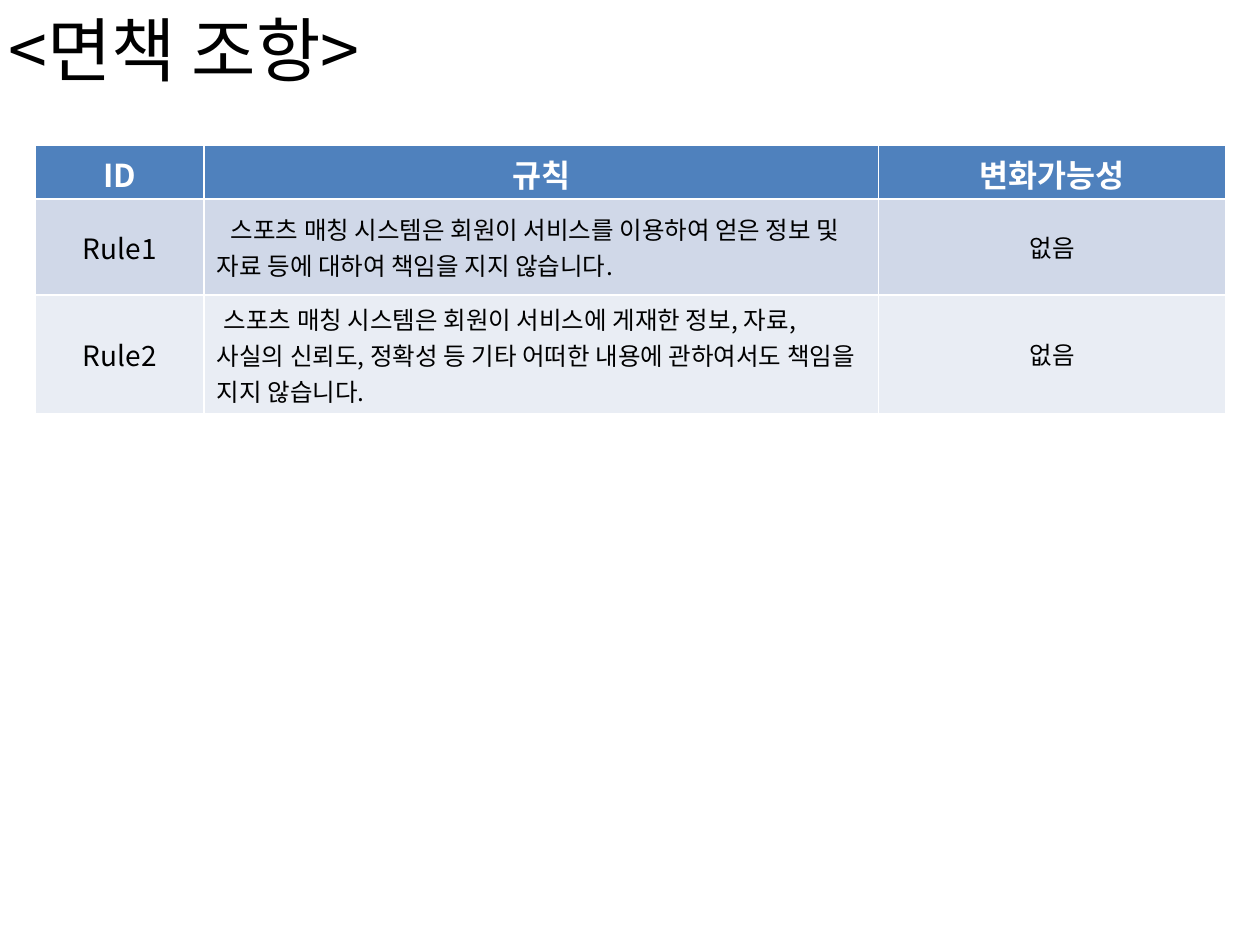
from lxml import etree
from pptx import Presentation
from pptx import util as u
from pptx.dml import color
from pptx.enum import text
from pptx.oxml import ns

FONT = "Noto Sans CJK KR"
COLORS = {
    "black": "000000",
    "white": "FFFFFF",
    "header": "4F81BD",
    "odd_row": "D0D8E8",
    "even_row": "E9EDF4",
}
HEADERS = ["ID", "규칙", "변화가능성"]
RULES = [
    ("Rule1", "스포츠 매칭 시스템은 회원이 서비스를 이용하여 얻은 정보 및 자료 등에 대하여 책임을 지지 않습니다.", "없음"),
    ("Rule2", "스포츠 매칭 시스템은 회원이 서비스에 게재한 정보, 자료, 사실의 신뢰도, 정확성 등 기타 어떠한 내용에 관하여서도 책임을 지지 않습니다.", "없음"),
]
RULE_INDENTS = [8, 4]
COLUMN_WIDTHS = [96.5, 385.2, 198.7]
ROW_HEIGHTS = [31, 54.7, 67.7]
BODY_SIZES = [16, 14, 14]


def rgb(name):
    return color.RGBColor.from_string(COLORS[name])


def format_paragraph(paragraph, size, color_name, alignment, bold=False):
    paragraph.alignment = alignment
    for run in paragraph.runs:
        font = run.font
        font.name = FONT
        font.size = u.Pt(size)
        font.bold = bold
        font.color.rgb = rgb(color_name)
        east_asian = etree.SubElement(run._r.get_or_add_rPr(), ns.qn("a:ea"))
        east_asian.set("typeface", FONT)


def place_title(slide, left, top, width, height):
    title = slide.shapes.title
    title.left, title.top = u.Pt(left), u.Pt(top)
    title.width, title.height = u.Pt(width), u.Pt(height)
    frame = title.text_frame
    frame.text = "<면책 조항>"
    frame.word_wrap = True
    frame.auto_size = text.MSO_AUTO_SIZE.SHAPE_TO_FIT_TEXT
    frame.vertical_anchor = text.MSO_ANCHOR.TOP
    format_paragraph(frame.paragraphs[0], 40, "black", text.PP_ALIGN.LEFT)


def fill_cell(cell, content, fill_name, size, color_name, alignment, bold=False):
    cell.fill.solid()
    cell.fill.fore_color.rgb = rgb(fill_name)
    cell.text_frame.text = content
    format_paragraph(cell.text_frame.paragraphs[0], size, color_name, alignment, bold)


def place_rules_table(slide, left, top, width, height):
    table = slide.shapes.add_table(
        len(ROW_HEIGHTS), len(COLUMN_WIDTHS),
        u.Pt(left), u.Pt(top), u.Pt(width), u.Pt(height),
    ).table
    for column, share in zip(table.columns, COLUMN_WIDTHS):
        column.width = u.Pt(width * share / sum(COLUMN_WIDTHS))
    for row, share in zip(table.rows, ROW_HEIGHTS):
        row.height = u.Pt(height * share / sum(ROW_HEIGHTS))

    center, start = text.PP_ALIGN.CENTER, text.PP_ALIGN.LEFT
    for column, header in enumerate(HEADERS):
        fill_cell(table.cell(0, column), header, "header", 18, "white", center, True)
    for row, rule in enumerate(RULES, start=1):
        fill_name = "odd_row" if row % 2 else "even_row"
        for column, content in enumerate(rule):
            cell = table.cell(row, column)
            alignment = start if column == 1 else center
            fill_cell(cell, content, fill_name, BODY_SIZES[column], "black", alignment)
            cell.vertical_anchor = text.MSO_ANCHOR.MIDDLE
        properties = table.cell(row, 1).text_frame.paragraphs[0]._p.get_or_add_pPr()
        properties.set("indent", str(u.Pt(RULE_INDENTS[row - 1])))


def main():
    presentation = Presentation()
    presentation.slide_width, presentation.slide_height = u.Pt(720), u.Pt(540)
    slide = presentation.slides.add_slide(presentation.slide_layouts[5])
    place_rules_table(slide, 20.2, 82.8, sum(COLUMN_WIDTHS), sum(ROW_HEIGHTS))
    place_title(slide, -2.2, 0, 640, 55.7)
    presentation.save("out.pptx")


if __name__ == "__main__":
    main()
